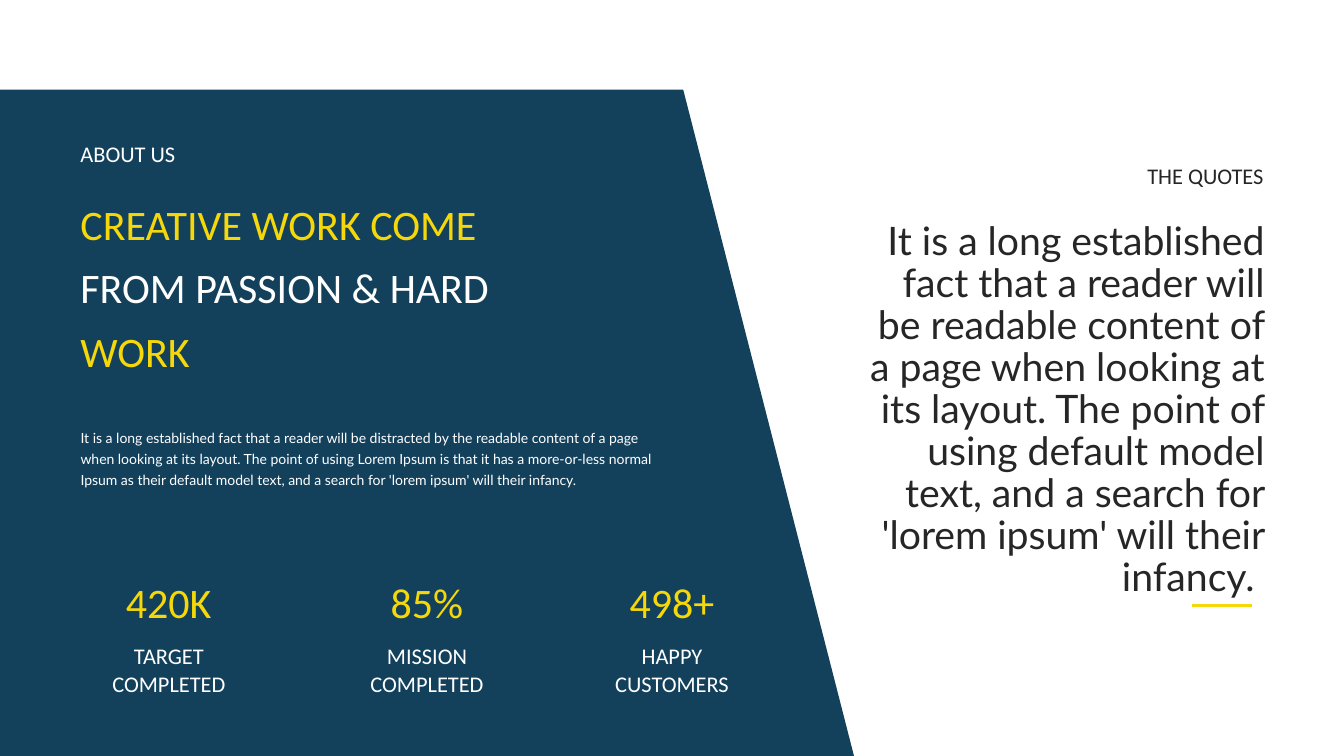
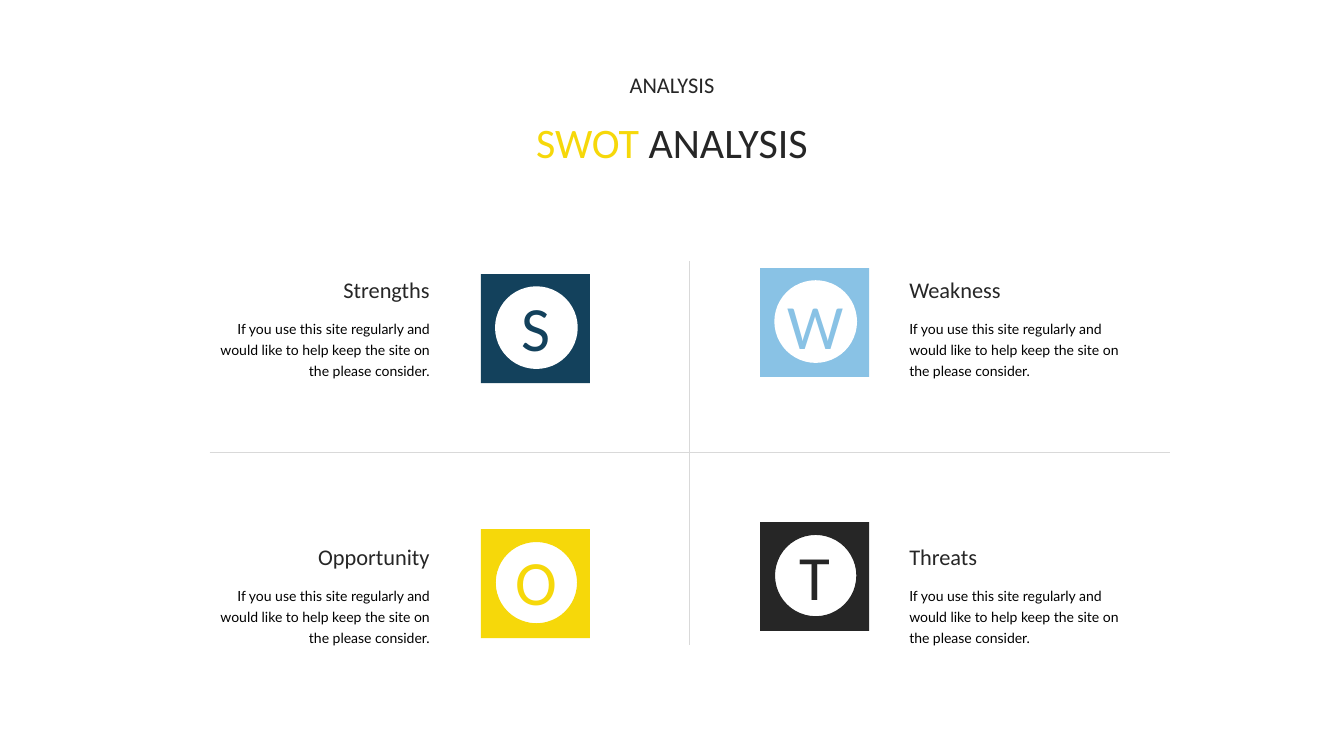
from typing import NamedTuple

import lxml.etree
import pptx
import pptx.dml.color
import pptx.enum.shapes
import pptx.enum.text
import pptx.oxml.ns
import pptx.shapes.autoshape
import pptx.slide
import pptx.util

Inches = pptx.util.Inches
Pt = pptx.util.Pt
Align = pptx.enum.text.PP_ALIGN
Kind = pptx.enum.shapes.MSO_SHAPE

NAVY, SKY, YELLOW = "13415C", "89C2E5", "F6D80A"
DARK, BLACK, WHITE, GREY = "262626", "000000", "FFFFFF", "D9D9D9"


class Style(NamedTuple):
    font: str
    size: int
    lead: int


class Box(NamedTuple):
    left: float
    top: float
    width: float
    height: float


class Span(NamedTuple):
    text: str
    color: str


class Stat(NamedTuple):
    left: float
    value: str
    label: str


class Part(NamedTuple):
    title: str
    color: str
    right: bool
    text_top: float
    tile_top: float
    mark_top: float
    ring: bool


TITLE = Style("Calibri", 30, 45)
LABEL = Style("Calibri", 16, 20)
HEAD = Style("Calibri", 16, 18)
MARK = Style("Calibri", 45, 42)
BODY = Style("Lato", 10, 15)
QUOTE = Style("Lato", 28, 30)

STATS = [
    Stat(0.7, "420K", "TARGET COMPLETED"),
    Stat(3.26, "85%", "MISSION COMPLETED"),
    Stat(5.69, "498+", "HAPPY CUSTOMERS"),
]
PARTS = [
    Part("Strengths", NAVY, False, 2.71, 2.72, 2.98, False),
    Part("Weakness", SKY, True, 2.71, 2.66, 2.96, False),
    Part("Opportunity", YELLOW, False, 5.36, 5.25, 5.5, True),
    Part("Threats", DARK, True, 5.36, 5.18, 5.45, True),
]
ABOUT = (
    "It is a long established fact that a reader will be distracted by the "
    "readable content of a page when looking at its layout. The point of using "
    "Lorem Ipsum is that it has a more-or-less normal Ipsum as their default "
    "model text, and a search for 'lorem ipsum' will their infancy. "
)
SAYING = (
    "It is a long established fact that a reader will be readable content of a "
    "page when looking at its layout. The point of using default model text, "
    "and a search for 'lorem ipsum' will their infancy. "
)
ADVICE = (
    "If you use this site regularly and would like to help keep the site on "
    "the please consider."
)


def paint(color: str) -> pptx.dml.color.RGBColor:
    return pptx.dml.color.RGBColor.from_string(color)


def add_text(slide: pptx.slide.Slide, box: Box, style: Style, *spans: Span,
             align: Align = Align.LEFT) -> None:
    frame = slide.shapes.add_textbox(*map(Inches, box)).text_frame
    frame.word_wrap = True
    frame.auto_size = pptx.enum.text.MSO_AUTO_SIZE.SHAPE_TO_FIT_TEXT
    para = frame.paragraphs[0]
    for name, value in {"alignment": align, "line_spacing": Pt(style.lead)}.items():
        setattr(para, name, value)
    for span in spans:
        run = para.add_run()
        run.text = span.text
        for name, value in {"name": style.font, "size": Pt(style.size)}.items():
            setattr(run.font, name, value)
        run.font.color.rgb = paint(span.color)


def add_shape(slide: pptx.slide.Slide, kind: Kind, box: Box, fill: str,
              edge: str = "") -> pptx.shapes.autoshape.Shape:
    shape = slide.shapes.add_shape(kind, *map(Inches, box))
    shape.shadow.inherit = False
    shape.fill.solid()
    shape.fill.fore_color.rgb = paint(fill)
    if edge:
        shape.line.color.rgb = paint(edge)
        shape.line.width = Pt(1)
    else:
        shape.line.fill.background()
    return shape


def add_line(slide: pptx.slide.Slide, ends: tuple[float, float, float, float],
             color: str, width: float) -> None:
    line = slide.shapes.add_connector(
        pptx.enum.shapes.MSO_CONNECTOR.STRAIGHT, *map(Inches, ends))
    line.line.color.rgb = paint(color)
    line.line.width = Pt(width)
    # An empty effect list turns the theme shadow off
    lxml.etree.SubElement(line._element.spPr, pptx.oxml.ns.qn("a:effectLst"))


def add_stat(slide: pptx.slide.Slide, stat: Stat) -> None:
    add_text(slide, Box(stat.left, 6.31, 1.95, 0.66), LABEL,
             Span(stat.label, WHITE), align=Align.CENTER)
    add_text(slide, Box(stat.left + 0.26, 5.55, 1.43, 0.7), TITLE,
             Span(stat.value, YELLOW), align=Align.CENTER)


def add_part(slide: pptx.slide.Slide, part: Part) -> None:
    """Draw one quarter: tile, disc, letter, heading and body."""
    tile, text = (7.54, 8.92) if part.right else (4.77, 1.91)
    align = Align.LEFT if part.right else Align.RIGHT
    disc = tile + 0.14
    add_shape(slide, Kind.RECTANGLE, Box(tile, part.tile_top, 1.08, 1.08), part.color)
    add_shape(slide, Kind.OVAL, Box(disc, part.tile_top + 0.12, 0.82, 0.82), WHITE,
              part.color if part.ring else "")
    add_text(slide, Box(disc, part.mark_top, 0.81, 0.73), MARK,
             Span(part.title[0], part.color), align=Align.CENTER)
    add_text(slide, Box(text, part.text_top, 2.45, 0.36), HEAD,
             Span(part.title, DARK), align=align)
    add_text(slide, Box(text, part.text_top + 0.38, 2.45, 0.71), BODY,
             Span(ADVICE, BLACK), align=align)


def draw_about(slide: pptx.slide.Slide) -> None:
    panel = add_shape(slide, Kind.FLOWCHART_MANUAL_INPUT,
                      Box(0.93, -0.04, 6.61, 8.47), NAVY)
    panel.rotation = 90
    add_text(slide, Box(0.7, 1.33, 1.47, 0.38), LABEL, Span("ABOUT US", WHITE))
    add_text(slide, Box(0.7, 1.8, 4.84, 1.96), TITLE,
             Span("CREATIVE WORK COME ", YELLOW),
             Span("FROM PASSION & HARD ", WHITE), Span("WORK", YELLOW))
    add_text(slide, Box(0.7, 4.17, 6.08, 0.71), BODY, Span(ABOUT, WHITE))
    for stat in STATS:
        add_stat(slide, stat)
    add_text(slide, Box(10.79, 1.55, 1.84, 0.38), LABEL,
             Span("THE QUOTES", DARK), align=Align.RIGHT)
    add_text(slide, Box(8.34, 2.15, 4.3, 3.47), QUOTE,
             Span(SAYING, DARK), align=Align.RIGHT)
    add_line(slide, (12.42, 6.01, 11.82, 6.01), YELLOW, 2)


def draw_swot(slide: pptx.slide.Slide) -> None:
    add_text(slide, Box(5.69, 0.64, 1.95, 0.38), LABEL,
             Span("ANALYSIS", DARK), align=Align.CENTER)
    add_text(slide, Box(4.46, 0.98, 4.41, 0.7), TITLE,
             Span("SWOT", YELLOW), Span(" ANALYSIS", DARK), align=Align.CENTER)
    for part in PARTS:
        add_part(slide, part)
    add_line(slide, (6.84, 2.59, 6.84, 6.4), GREY, 1)
    add_line(slide, (2.08, 4.49, 11.6, 4.49), GREY, 1)


def main() -> None:
    deck = pptx.Presentation()
    deck.slide_width, deck.slide_height = Inches(13.33), Inches(7.5)
    for draw in (draw_about, draw_swot):
        draw(deck.slides.add_slide(deck.slide_layouts[6]))
    deck.save("out.pptx")


if __name__ == "__main__":
    main()
